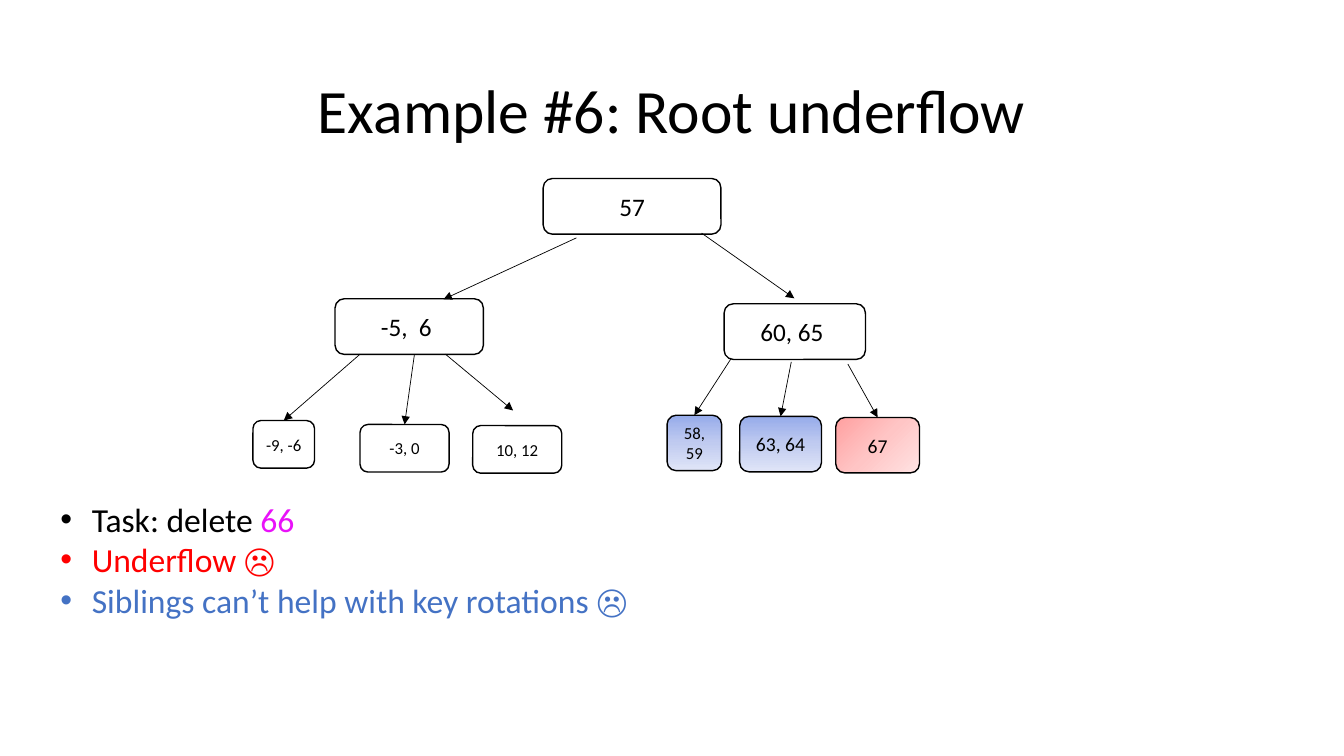
import dataclasses

import lxml.etree
import pptx
import pptx.dml.color
import pptx.enum.shapes
import pptx.enum.text
import pptx.oxml.ns
import pptx.util

Pt = pptx.util.Pt
RGB = pptx.dml.color.RGBColor.from_string
PP = pptx.enum.text.PP_ALIGN
MIDDLE = pptx.enum.text.MSO_ANCHOR.MIDDLE
qn = pptx.oxml.ns.qn
TOP = 0


@dataclasses.dataclass(frozen=True)
class Theme:
    font: str = "Calibri"
    ink: str = "000000"
    key: str = "E911F9"
    alert: str = "FF0000"
    accent: str = "4472C4"
    sibling: tuple = (90, "96ABEA", "C0CBF0", "E0E5F7")
    underflow: tuple = (45, "FFA0A0", "FFC5C5", "FFE3E3")
    title: int = 44
    body: int = 24
    node: int = 18
    leaf: int = 14
    small: int = 12
    outline: float = 1
    edge: float = 0.5


def add_text(p, text, font, size, color, align=None):
    if align is not None:
        p.alignment = align
    r = p.add_run()
    r.text = text
    r.font.name = font
    r.font.size = Pt(size)
    r.font.color.rgb = RGB(color)


class TreeSlide:
    def __init__(self, prs, theme):
        self.theme = theme
        self.s = prs.slides.add_slide(prs.slide_layouts[5])

    def title(self, text, x, y, w, h):
        t = self.theme
        sp = self.s.shapes.title
        sp.left, sp.top, sp.width, sp.height = Pt(x), Pt(y), Pt(w), Pt(h)
        tf = sp.text_frame
        tf.vertical_anchor = MIDDLE
        p = tf.paragraphs[0]
        p.line_spacing = 0.9
        add_text(p, text, t.font, t.title, t.ink, align=PP.CENTER)

    def gradient(self, sp, angle, *colors):
        sp.fill.gradient()
        sp.fill.gradient_angle = 360 - angle
        stops = sp._element.spPr.find(qn("a:gradFill")).find(qn("a:gsLst"))
        for gs in list(stops):
            stops.remove(gs)
        for i, color in enumerate(colors):
            gs = lxml.etree.SubElement(stops, qn("a:gs"), pos=str(i * 50000))
            lxml.etree.SubElement(gs, qn("a:srgbClr"), val=color)

    def node(self, text, x, y, w, h, size, fill=None):
        t = self.theme
        sp = self.s.shapes.add_shape(
            pptx.enum.shapes.MSO_SHAPE.ROUNDED_RECTANGLE, Pt(x), Pt(y), Pt(w), Pt(h))
        sp.shadow.inherit = False
        if fill:
            self.gradient(sp, *fill)
        else:
            sp.fill.background()
        sp.line.color.rgb = RGB(t.ink)
        sp.line.width = Pt(t.outline)
        tf = sp.text_frame
        tf.word_wrap = True
        tf.vertical_anchor = MIDDLE
        add_text(tf.paragraphs[0], text, t.font, size, t.ink, align=PP.CENTER)
        return sp

    def arrow(self, start, end=(0, 0), child=None):
        t = self.theme
        c = self.s.shapes.add_connector(
            pptx.enum.shapes.MSO_CONNECTOR.STRAIGHT, *map(Pt, start + end))
        if child is not None:
            c.end_connect(child, TOP)
        c.line.color.rgb = RGB(t.ink)
        c.line.width = Pt(t.edge)
        lxml.etree.SubElement(c.line._get_or_add_ln(), qn("a:tailEnd"), type="triangle")
        lxml.etree.SubElement(c._element.spPr, qn("a:effectLst"))

    def bullets(self, items, x, y, w, h):
        t = self.theme
        tf = self.s.shapes.add_textbox(Pt(x), Pt(y), Pt(w), Pt(h)).text_frame
        tf.word_wrap = True
        for i, runs in enumerate(items):
            p = tf.add_paragraph() if i else tf.paragraphs[0]
            pPr = p._p.get_or_add_pPr()
            pPr.set("marL", str(Pt(22.5)))
            pPr.set("indent", str(-Pt(22.5)))
            lxml.etree.SubElement(pPr, qn("a:buFont"), typeface="Arial")
            lxml.etree.SubElement(pPr, qn("a:buChar"), char="•")
            for text, color in runs:
                add_text(p, text, t.font, t.body, color)


def main():
    prs = pptx.Presentation()
    prs.slide_width, prs.slide_height = Pt(960), Pt(540)
    t = Theme()
    s = TreeSlide(prs, t)
    s.title("Example #6: Root underflow", 66, 28.75, 828, 104.4)

    for text, x, y, w in (
        ("57", 388, 127.5, 127),
        ("-5,  6 ", 239.3, 213.4, 106),
        ("60, 65 ", 517.2, 217, 101),
    ):
        s.node(text, x, y, w, 39.8, t.node)

    for text, x, y, w, h, size, fill, start in (
        ("-9, -6", 180.7, 300.4, 44, 34, t.small, None, (257.2, 253)),
        ("-3, 0", 257.2, 303.2, 63.6, 34, t.small, None, (296, 253.4)),
        ("10, 12", 337.7, 304, 63.6, 34, t.small, None, None),
        ("58, 59", 476.5, 296.6, 39, 39.6, t.small, t.sibling, (522, 256.5)),
        ("63, 64", 528.4, 297.4, 58.4, 39.6, t.leaf, t.sibling, (565.2, 258.5)),
        ("67", 597, 298.2, 59.8, 39.6, t.leaf, t.underflow, (605.6, 260)),
    ):
        leaf = s.node(text, x, y, w, h, size, fill)
        if start:
            s.arrow(start, child=leaf)

    for start, end in (
        ((411.8, 169.9), (316.8, 213.8)),
        ((501.1, 166.5), (567.4, 213.1)),
        ((318.2, 253), (366.5, 293.2)),
    ):
        s.arrow(start, end)

    s.bullets((
        (("Task: delete ", t.ink), ("66", t.key)),
        (("Underflow ☹", t.alert),),
        (("Siblings can’t help with key rotations ☹", t.accent),),
    ), 36, 352.8, 864, 94.3)
    prs.save("out.pptx")


if __name__ == "__main__":
    main()
